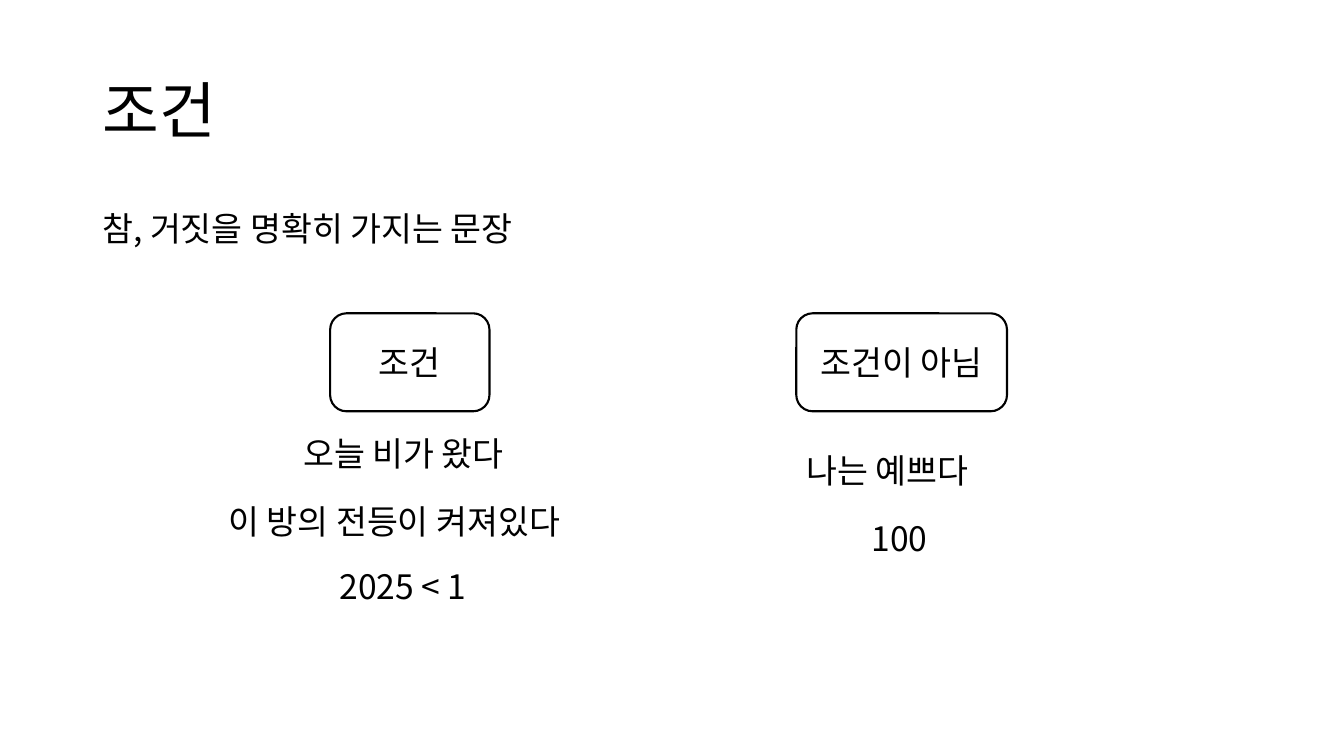
from dataclasses import dataclass

from lxml.etree import SubElement
from pptx import Presentation
from pptx.dml.color import RGBColor
from pptx.enum.shapes import MSO_SHAPE
from pptx.enum.text import MSO_ANCHOR, PP_ALIGN
from pptx.oxml.ns import qn
from pptx.util import Pt


@dataclass(frozen=True)
class Theme:
    """Hold the colours, type sizes and font of the slide."""
    ink: RGBColor = RGBColor(0, 0, 0)
    paper: RGBColor = RGBColor(255, 255, 255)
    head: int = 44
    body: int = 24
    face: str = "Noto Sans CJK KR"
    line: float = 1.5


THEME = Theme()
ROW = 36.35
TOP, HIGH = 223.8, 70


def write(shape, text, size=THEME.body, align=PP_ALIGN.LEFT,
          anchor=MSO_ANCHOR.TOP, lead=None):
    """Put formatted text into a shape."""
    frame = shape.text_frame
    frame.word_wrap = True
    frame.vertical_anchor = anchor
    frame.text = text
    para = frame.paragraphs[0]
    para.alignment = align
    para.line_spacing = lead
    run = para.runs[0]
    run.font.size = Pt(size)
    run.font.name = THEME.face
    run.font.color.rgb = THEME.ink
    SubElement(run.font._element, qn("a:ea"), typeface=THEME.face)


def title(slide, text):
    """Place and format the slide title."""
    shape = slide.shapes.title
    shape.left, shape.top = Pt(66), Pt(28.8)
    shape.width, shape.height = Pt(828), Pt(104.4)
    write(shape, text, size=THEME.head, anchor=MSO_ANCHOR.MIDDLE, lead=0.9)


def label(shapes, text, left, top, width):
    """Add one line of body text."""
    box = shapes.add_textbox(Pt(left), Pt(top), Pt(width), Pt(ROW))
    write(box, text)


def card(shapes, text, left, width):
    """Add a rounded heading card."""
    shape = shapes.add_shape(MSO_SHAPE.ROUNDED_RECTANGLE,
                             Pt(left), Pt(TOP), Pt(width), Pt(HIGH))
    shape.shadow.inherit = False
    shape.fill.solid()
    shape.fill.fore_color.rgb = THEME.paper
    shape.line.color.rgb = THEME.ink
    shape.line.width = Pt(THEME.line)
    write(shape, text, align=PP_ALIGN.CENTER, anchor=MSO_ANCHOR.MIDDLE)


def column(slide, head, left, width, lines):
    """Group a heading card with its example lines."""
    shapes = slide.shapes.add_group_shape().shapes
    card(shapes, head, left, width)
    for line in lines:
        label(shapes, *line)


def main():
    """Build and save the slide."""
    deck = Presentation()
    deck.slide_width, deck.slide_height = Pt(960), Pt(540)
    slide = deck.slides.add_slide(deck.slide_layouts.get_by_name("Title Only"))
    title(slide, "조건")
    label(slide.shapes, "참, 거짓을 명확히 가지는 문장", 66, 145, 369.5)
    column(slide, "조건", 235.8, 113.8, [
        ("오늘 비가 왔다", 209.5, 306, 181.5),
        ("이 방의 전등이 켜져있다", 156, 354.5, 289),
        ("2025 < 1", 235.5, 400.5, 121.5),
    ])
    column(slide, "조건이 아님", 568.8, 150.5, [
        ("나는 예쁘다", 568.8, 317.5, 150.5),
        ("100", 615.5, 366.5, 56.5),
    ])
    deck.save("out.pptx")


if __name__ == "__main__":
    main()
